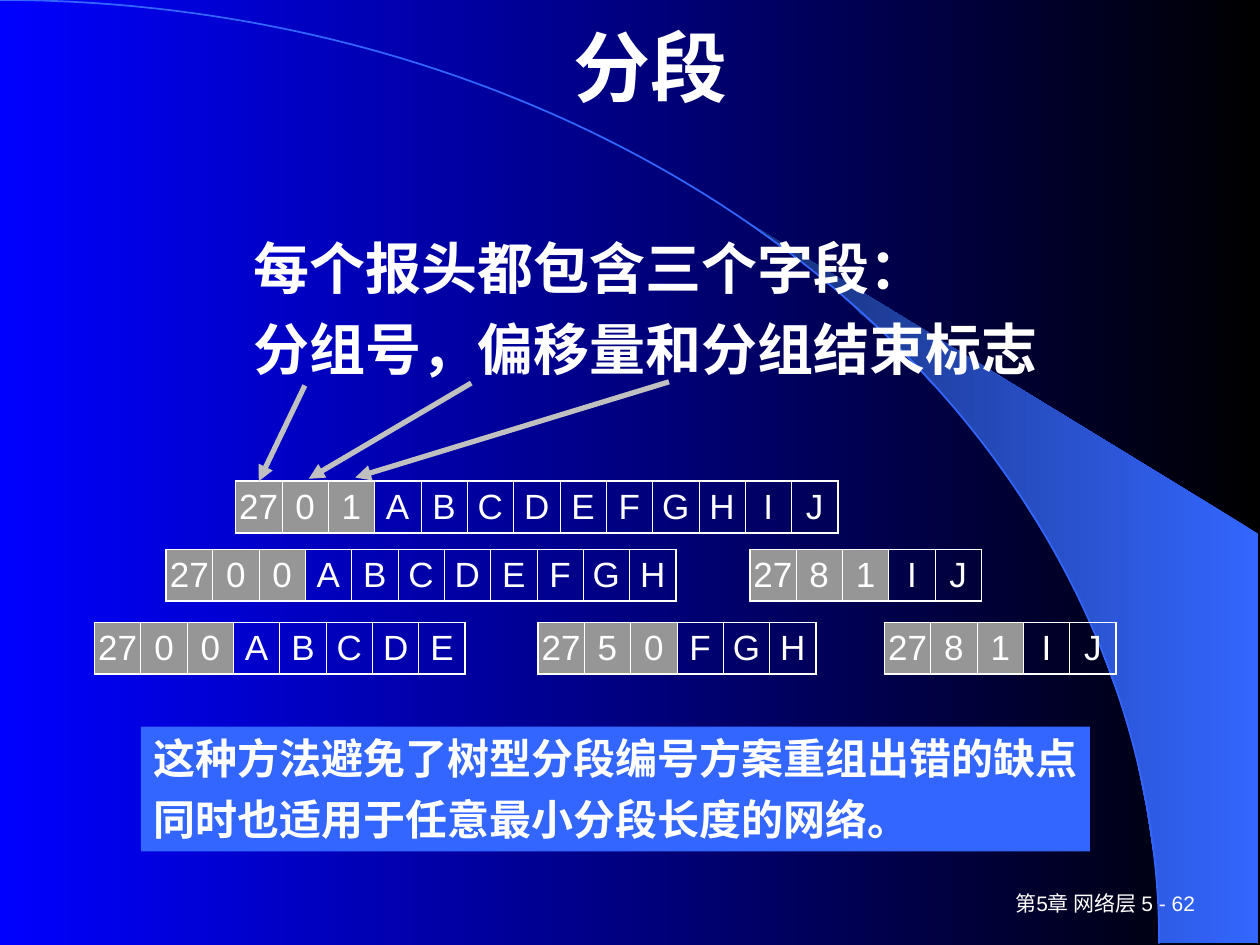
from math import asin, cos, pi, sin

from lxml.etree import SubElement
from pptx import Presentation
from pptx.dml.color import RGBColor
from pptx.enum.shapes import MSO_CONNECTOR, MSO_SHAPE
from pptx.enum.text import MSO_ANCHOR, MSO_AUTO_SIZE, PP_ALIGN
from pptx.oxml import parse_xml
from pptx.oxml.ns import nsdecls, qn
from pptx.util import Pt

WHITE = RGBColor(0xFF, 0xFF, 0xFF)
BLACK = RGBColor(0x00, 0x00, 0x00)
BLUE = RGBColor(0x00, 0x00, 0xFF)
ACCENT = RGBColor(0x33, 0x66, 0xFF)
DEEP = RGBColor(0x17, 0x2F, 0x75)
GRAY = RGBColor(0x96, 0x96, 0x96)
SILVER = RGBColor(0xC0, 0xC0, 0xC0)

# Curve behind the content: a quarter ellipse starting at the top left corner
RX, RY = 662.4, 539.2
COL_W, ROW_H = 26.5, 27

# Packets: left, top, header fields, data bytes
PACKETS = [
    (134.6, 275, ("27", "0", "1"), "ABCDEFGHIJ"),
    (95, 314, ("27", "0", "0"), "ABCDEFGH"),
    (428.4, 314, ("27", "8", "1"), "IJ"),
    (54, 355.7, ("27", "0", "0"), "ABCDE"),
    (307.4, 355.7, ("27", "5", "0"), "FGH"),
    (505.4, 355.7, ("27", "8", "1"), "IJ"),
]

# Arrows from the field names to the header fields
ARROWS = [
    (174.2, 220.3, 147.9, 275),
    (269.3, 218.9, 176.4, 273.6),
    (382.3, 218.2, 203, 272.9),
]


def apply_format(obj, values):
    for name, value in values.items():
        setattr(obj, name, value)


def add_text(tf, lines, size, bold=False, font="Arial", align=PP_ALIGN.LEFT,
             gap=0, hanging=0):
    for i, line in enumerate(lines):
        p = tf.paragraphs[0] if i == 0 else tf.add_paragraph()
        pPr = p._p.get_or_add_pPr()
        pPr.set("marL", str(Pt(hanging)))
        pPr.set("indent", str(-Pt(hanging)))
        SubElement(pPr, qn("a:buNone"))
        apply_format(p, {"alignment": align, "space_before": Pt(gap if i else 0)})
        r = p.add_run()
        r.text = line
        apply_format(r.font, {"name": font, "size": Pt(size), "bold": bold})
        r.font.color.rgb = WHITE


def set_gradient(fill, start, end):
    fill.gradient()
    fill.gradient_angle = 180
    for stop, color, position in zip(fill.gradient_stops, (start, end), (0, 1)):
        stop.color.rgb = color
        stop.position = position


def add_backdrop(slide):
    set_gradient(slide.background.fill, BLACK, BLUE)

    # Wedge whose inner edge follows the curve
    steps = 24
    first = asin(0.64)
    angles = [first + (pi / 2 - first) * i / steps for i in range(steps + 1)]
    edge = [(RX * sin(a), RY * (1 - cos(a))) for a in angles]
    builder = slide.shapes.build_freeform(*edge[0], scale=Pt(1))
    builder.add_line_segments(edge[1:] + [(719.3, RY), (719.3, 304.6)])
    wedge = builder.convert_to_shape()
    set_gradient(wedge.fill, ACCENT, DEEP)
    wedge.line.fill.background()
    wedge.shadow.inherit = False

    # Curve
    arc = slide.shapes.add_shape(MSO_SHAPE.ARC, Pt(-RX), Pt(0), Pt(2 * RX), Pt(2 * RY))
    arc.fill.background()
    arc.line.color.rgb = ACCENT
    arc.line.width = Pt(1)
    arc.shadow.inherit = False


def fill_placeholder(sp, box, lines, anchor, **text_format):
    apply_format(sp, dict(zip(("left", "top", "width", "height"), map(Pt, box))))
    tf = sp.text_frame
    apply_format(tf, {"auto_size": MSO_AUTO_SIZE.NONE, "word_wrap": True,
                      "vertical_anchor": anchor})
    add_text(tf, lines, bold=True, **text_format)


def set_borders(cell, is_first, is_last):
    thin, thick = 0.45, 1.08
    widths = {"lnL": thick if is_first else thin, "lnR": thick if is_last else thin,
              "lnT": thick, "lnB": thick}
    tcPr = cell._tc.get_or_add_tcPr()
    for i, (tag, width) in enumerate(widths.items()):
        tcPr.insert(i, parse_xml(
            f'<a:{tag} {nsdecls("a")} w="{Pt(width)}"><a:solidFill>'
            f'<a:srgbClr val="{WHITE}"/></a:solidFill></a:{tag}>'))


def add_packet(slide, left, top, header, data):
    values = [*header, *data]
    n = len(values)
    table = slide.shapes.add_table(
        1, n, Pt(left), Pt(top), Pt(n * COL_W), Pt(ROW_H)).table
    apply_format(table, {"first_row": False, "horz_banding": False})
    for i, value in enumerate(values):
        table.columns[i].width = Pt(COL_W)
        cell = table.cell(0, i)
        apply_format(cell, {"margin_left": Pt(1.4), "margin_right": Pt(1.4)})
        add_text(cell.text_frame, [value], 20, align=PP_ALIGN.CENTER)
        if i < len(header):
            cell.fill.solid()
            cell.fill.fore_color.rgb = GRAY
        else:
            cell.fill.background()
        set_borders(cell, i == 0, i == n - 1)


def add_arrow(slide, *ends):
    line = slide.shapes.add_connector(MSO_CONNECTOR.STRAIGHT, *map(Pt, ends))
    line.line.color.rgb = SILVER
    line.line.width = Pt(3)
    SubElement(line.line._get_or_add_ln(), qn("a:tailEnd"), type="triangle")
    SubElement(line._element.spPr, qn("a:effectLst"))


def add_note(slide, box, lines):
    sp = slide.shapes.add_shape(MSO_SHAPE.RECTANGLE, *map(Pt, box))
    sp.fill.solid()
    sp.fill.fore_color.rgb = ACCENT
    sp.line.fill.background()
    sp.shadow.inherit = False
    apply_format(sp.text_frame, {"word_wrap": False, "vertical_anchor": MSO_ANCHOR.TOP})
    add_text(sp.text_frame, lines, 24, bold=True, gap=6)


def add_footer(slide, box, text):
    tf = slide.shapes.add_textbox(*map(Pt, box)).text_frame
    apply_format(tf, {"word_wrap": True, "vertical_anchor": MSO_ANCHOR.MIDDLE})
    add_text(tf, [text], 12, align=PP_ALIGN.RIGHT)


def main():
    prs = Presentation()
    prs.slide_width, prs.slide_height = Pt(720), Pt(540)
    slide = prs.slides.add_slide(prs.slide_layouts[1])
    title, body = slide.placeholders

    add_backdrop(slide)
    add_footer(slide, (540, 504, 150, 24), "第5章 网络层 5 - 62")

    # Title and list, brought in front of the backdrop
    for sp in (title, body):
        slide.shapes._spTree.append(sp._element)
    fill_placeholder(title, (65.5, 15, 612, 45.5), ["分段"], MSO_ANCHOR.MIDDLE,
                     size=44, font="Noto Sans CJK SC", align=PP_ALIGN.CENTER)
    fill_placeholder(body, (137.5, 129.6, 468, 111),
                     ["每个报头都包含三个字段：", "分组号，偏移量和分组结束标志"],
                     MSO_ANCHOR.TOP, size=32, gap=8, hanging=37.5)

    # Packets and field arrows
    for packet in PACKETS:
        add_packet(slide, *packet)
    for arrow in ARROWS:
        add_arrow(slide, *arrow)

    # Conclusion
    add_note(slide, (80.6, 415.3, 542.2, 71.2),
             ["这种方法避免了树型分段编号方案重组出错的缺点",
              "同时也适用于任意最小分段长度的网络。"])

    prs.save("out.pptx")


if __name__ == "__main__":
    main()
